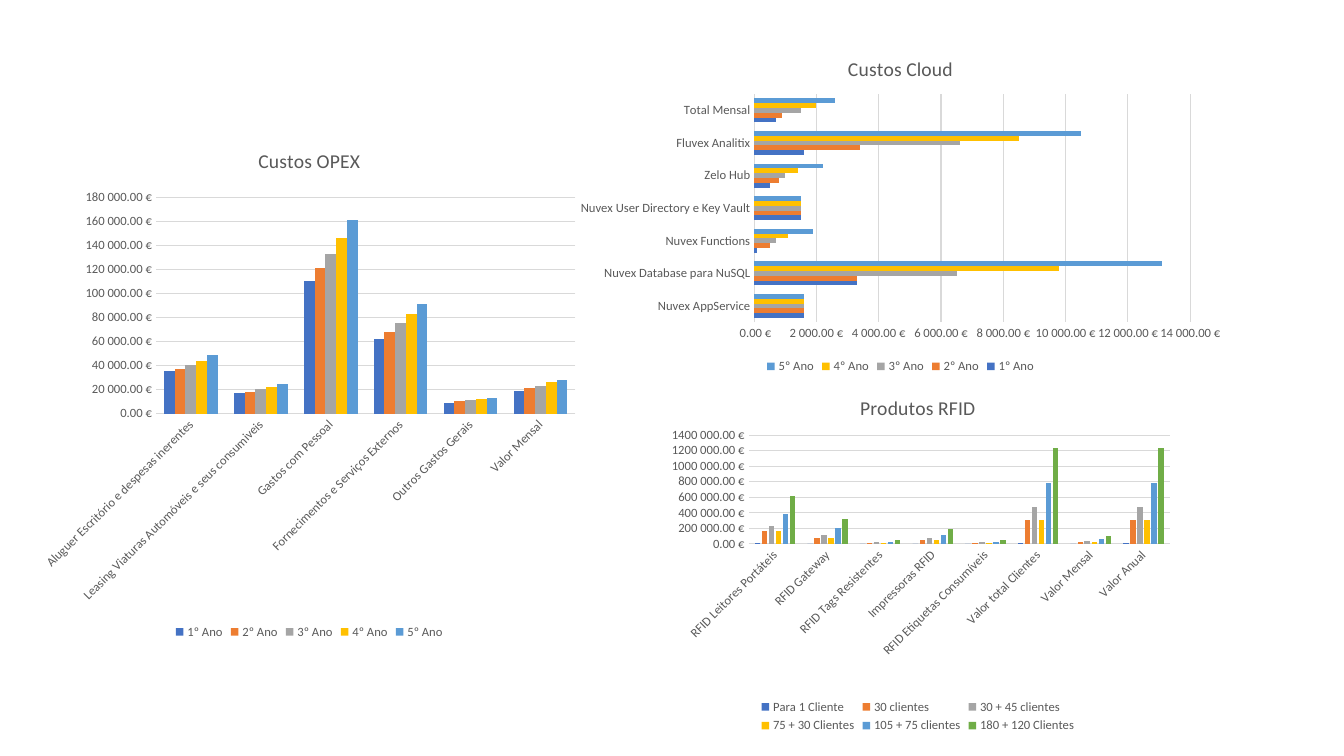
from lxml import etree
from pptx import Presentation
from pptx.chart.data import CategoryChartData
from pptx.dml.color import RGBColor
from pptx.enum.chart import XL_CHART_TYPE, XL_LEGEND_POSITION, XL_TICK_MARK
from pptx.oxml import parse_xml
from pptx.oxml.ns import nsdecls, qn
from pptx.util import Cm, Pt

COLUMN = XL_CHART_TYPE.COLUMN_CLUSTERED
BAR = XL_CHART_TYPE.BAR_CLUSTERED
BOTTOM = XL_LEGEND_POSITION.BOTTOM
NO_TICK = XL_TICK_MARK.NONE

FONT = "Calibri"
HUES = {
    "text": "595959", "grid": "D9D9D9",
    "blue": "4472C4", "orange": "ED7D31", "gray": "A5A5A5",
    "gold": "FFC000", "sky": "5B9BD5", "green": "70AD47",
}
ORDER = ("blue", "orange", "gray", "gold", "sky", "green")
EURO = '#\\ ##0.00\\ "€"'
YEARS = [f"{n}º Ano" for n in range(1, 6)]

# Values in thousands of euros, one row per series
OPEX = {
    "title": "Custos OPEX", "kind": COLUMN, "gap": 150, "slant": True,
    "cats": ["Aluguer Escritório e despesas inerentes",
             "Leasing Viaturas Automóveis e seus consumiveis",
             "Gastos com Pessoal", "Fornecimentos e Serviços Externos",
             "Outros Gastos Gerais", "Valor Mensal"],
    "names": YEARS,
    "rows": [[35, 17, 110, 62, 9, 19],
             [37, 18, 121, 68, 10, 21],
             [40, 20, 133, 75, 11, 23],
             [44, 22, 146, 83, 12, 26],
             [49, 25, 161, 91, 13, 28]],
}
CLOUD = {
    "title": "Custos Cloud", "kind": BAR, "gap": 182, "base": True,
    "cats": ["Nuvex AppService", "Nuvex Database para NuSQL",
             "Nuvex Functions", "Nuvex User Directory e Key Vault",
             "Zelo Hub", "Fluvex Analitix", "Total Mensal"],
    "names": YEARS,
    "rows": [[1.6, 3.3, 0.1, 1.5, 0.5, 1.6, 0.7],
             [1.6, 3.3, 0.5, 1.5, 0.8, 3.4, 0.9],
             [1.6, 6.5, 0.7, 1.5, 1, 6.6, 1.5],
             [1.6, 9.8, 1.1, 1.5, 1.4, 8.5, 2],
             [1.6, 13.1, 1.9, 1.5, 2.2, 10.5, 2.6]],
}
RFID = {
    "title": "Produtos RFID", "kind": COLUMN, "gap": 219, "lap": -27,
    "slant": True, "base": True,
    "plot": {"x": 0.185, "y": 0.159, "w": 0.784, "h": 0.303},
    "cats": ["RFID Leitores Portáteis", "RFID Gateway",
             "RFID Tags Resistentes", "Impressoras RFID",
             "RFID Etiquetas Consumíveis", "Valor total Clientes",
             "Valor Mensal", "Valor Anual"],
    "names": ["Para 1 Cliente", "30 clientes", "30 + 45 clientes",
              "75 + 30 Clientes", "105 + 75 clientes", "180 + 120 Clientes"],
    "rows": [[10, 0, 0, 0, 0, 10, 0, 10],
             [160, 80, 10, 50, 10, 310, 30, 310],
             [230, 120, 20, 70, 20, 470, 40, 470],
             [160, 80, 10, 50, 10, 310, 30, 310],
             [390, 200, 30, 120, 30, 780, 60, 780],
             [620, 320, 50, 190, 50, 1240, 100, 1240]],
}


def hue(name):
    return RGBColor.from_string(HUES[name])


def set_font(font, size):
    font.name, font.size, font.bold = FONT, Pt(size), False
    font.color.rgb = hue("text")


def set_line(line):
    line.color.rgb = hue("grid")
    line.width = Pt(0.75)


def set_plot(chart, plot):
    """Fix the inner plot area, in fractions of the chart."""
    area = chart.plots[0]._element.getparent()
    for old in area.findall(qn("c:layout")):
        area.remove(old)
    layout = parse_xml(f"<c:layout {nsdecls('c')}><c:manualLayout/></c:layout>")
    parts = {"layoutTarget": "inner", "xMode": "edge", "yMode": "edge", **plot}
    for tag, val in parts.items():
        etree.SubElement(layout[0], qn("c:" + tag)).set("val", str(val))
    area.insert(0, layout)


def clear_back(chart):
    """Give the chart area neither fill nor border."""
    body = chart._chartSpace.find(qn("c:chart"))
    body.addnext(parse_xml(
        f"<c:spPr {nsdecls('c', 'a')}><a:noFill/>"
        "<a:ln><a:noFill/></a:ln></c:spPr>"))


def add_cost(slide, box, spec_of):
    """Place one cost chart in box: left, top, width, height in cm."""
    data = CategoryChartData(number_format=EURO)
    data.categories = spec_of["cats"]
    for name, row in zip(spec_of["names"], spec_of["rows"]):
        data.add_series(name, [round(v * 1000) for v in row])
    frame = slide.shapes.add_chart(spec_of["kind"], *map(Cm, box), data)
    chart = frame.chart
    set_font(chart.font, 10)
    clear_back(chart)

    # Title and legend
    chart.has_title = True
    para = chart.chart_title.text_frame.paragraphs[0]
    para.text = spec_of["title"]
    set_font(para.runs[0].font, 14)
    chart.has_legend = True
    chart.legend.position = BOTTOM
    chart.legend.include_in_layout = False
    set_font(chart.legend.font, 9)

    # Axes
    cat, val = chart.category_axis, chart.value_axis
    for axis in (cat, val):
        axis.major_tick_mark = axis.minor_tick_mark = NO_TICK
        axis.format.line.fill.background()
        set_font(axis.tick_labels.font, 9)
    if spec_of.get("base"):
        set_line(cat.format.line)
    if spec_of.get("slant"):
        cat._element.find(qn("c:txPr")).find(qn("a:bodyPr")).set("rot", "-2700000")
    val.has_major_gridlines = True
    set_line(val.major_gridlines.format.line)
    val.tick_labels.number_format = EURO
    val.tick_labels.number_format_is_linked = False

    # Bars
    plot = chart.plots[0]
    plot.vary_by_categories = False
    plot.gap_width = spec_of["gap"]
    plot.overlap = spec_of.get("lap", 0)
    for series, name in zip(plot.series, ORDER):
        series.format.fill.solid()
        series.format.fill.fore_color.rgb = hue(name)
        series.invert_if_negative = False
    if "plot" in spec_of:
        set_plot(chart, spec_of["plot"])


def main():
    deck = Presentation()
    deck.slide_width, deck.slide_height = Cm(33.87), Cm(19.05)
    slide = deck.slides.add_slide(deck.slide_layouts[6])
    add_cost(slide, (16.36, 9.53, 13.54, 9.04), RFID)
    add_cost(slide, (0.81, 3.23, 13.97, 12.98), OPEX)
    add_cost(slide, (14.3, 0.99, 16.79, 8.53), CLOUD)
    deck.save("out.pptx")


if __name__ == "__main__":
    main()
